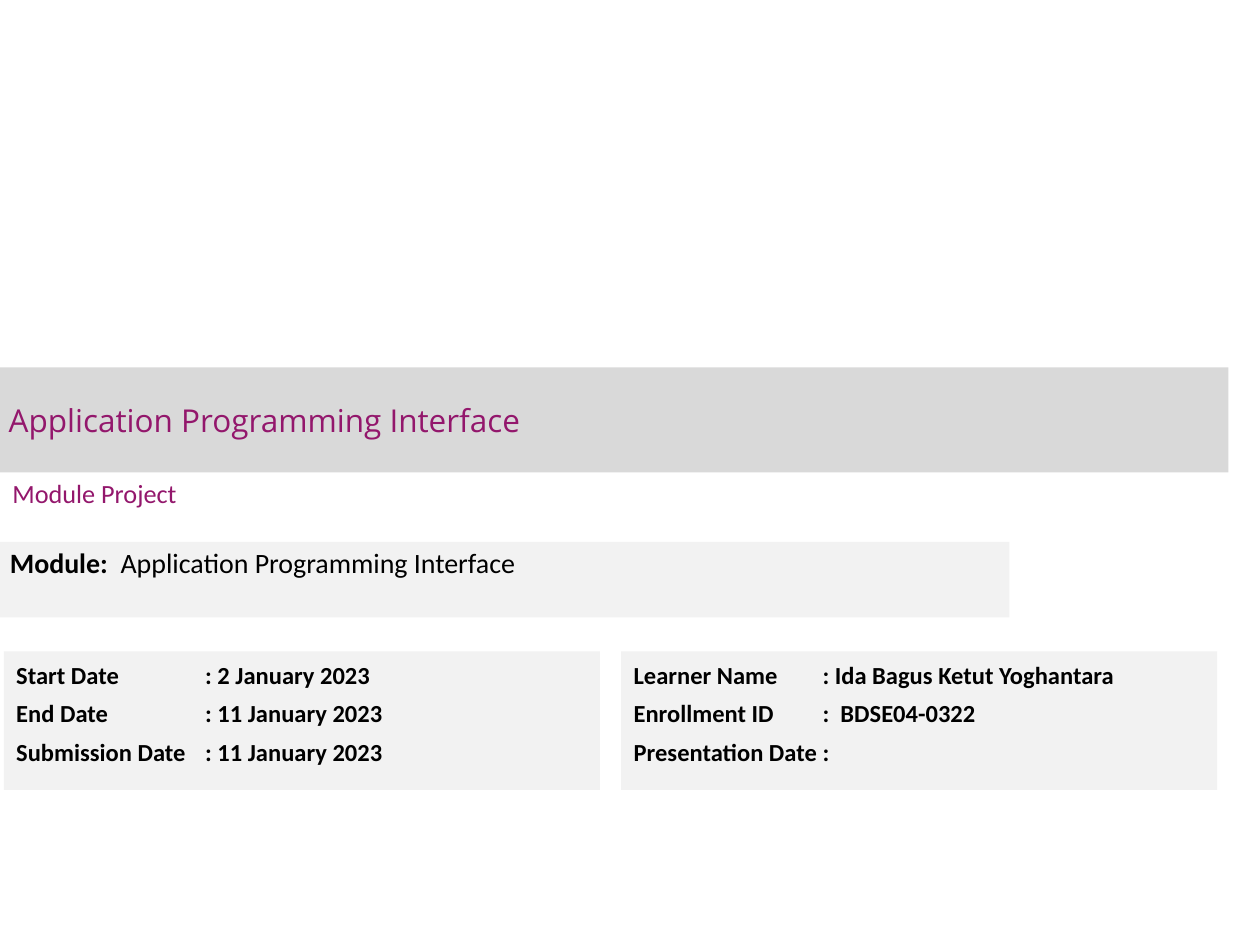
from lxml import etree
from pptx import Presentation
from pptx import util as u
from pptx.dml.color import RGBColor
from pptx.enum import shapes, text
from pptx.oxml import ns

PURPLE, BLACK, PALE, GREY = "93176C", "000000", "F2F2F2", "D9D9D9"
TOP, MIDDLE = text.MSO_ANCHOR.TOP, text.MSO_ANCHOR.MIDDLE

deck = Presentation()
deck.slide_width, deck.slide_height = u.Pt(720), u.Pt(540)
page = deck.slides.add_slide(deck.slide_layouts[6])


def color(value):
    return RGBColor.from_string(value)


def add_text(lines, left, top, width, height, size, fill=None, ink=BLACK, font="Calibri",
             anchor=TOP, inset=(7.2, 3.6), spaced=False, tab=None):
    place = [u.Pt(value) for value in (left, top, width, height)]
    if fill:
        box = page.shapes.add_shape(shapes.MSO_SHAPE.RECTANGLE, *place)
        box.shadow.inherit = False
        box.fill.solid()
        box.fill.fore_color.rgb = color(fill)
        box.line.fill.background()
    else:
        box = page.shapes.add_textbox(*place)
    frame = box.text_frame
    frame.word_wrap = True
    frame.vertical_anchor = anchor
    frame.margin_left = frame.margin_right = u.Pt(inset[0])
    frame.margin_top = frame.margin_bottom = u.Pt(inset[1])
    for index, line in enumerate(lines):
        para = frame.add_paragraph() if index else frame.paragraphs[0]
        para.alignment = text.PP_ALIGN.LEFT
        if spaced:
            para.line_spacing = u.Pt(18)
            para.space_before = para.space_after = u.Pt(2)
        if tab:
            stops = etree.SubElement(para._p.get_or_add_pPr(), ns.qn("a:tabLst"))
            etree.SubElement(stops, ns.qn("a:tab"), pos=str(u.Pt(tab)), algn="l")
        for words, bold in line:
            span = para.add_run()
            span.text = words
            span.font.name = font
            span.font.size = u.Pt(size)
            span.font.bold = bold
            span.font.color.rgb = color(ink)


add_text([[("Application Programming Interface", False)]], 0, 210, 702, 60, 18,
         fill=GREY, ink=PURPLE, font="Open Sans", anchor=MIDDLE, inset=(5, 2.9))
add_text([[("Module Project", False)]], 0, 259.2, 462.2, 44.6, 15, ink=PURPLE, anchor=MIDDLE)
add_text([[("Module:  ", True), ("Application Programming Interface", False)]],
         -1.4, 309.6, 578.2, 43.2, 16, fill=PALE, spaced=True)

details = [
    (2.2, ["Start Date\t: 2 January 2023", "End Date\t: 11 January 2023",
           "Submission Date\t: 11 January 2023"]),
    (355, ["Learner Name\t: Ida Bagus Ketut Yoghantara", "Enrollment ID\t:  BDSE04-0322",
           "Presentation Date\t:"]),
]
for left, rows in details:
    add_text([[(row, True)] for row in rows], left, 372.2, 340.6, 79.2, 14,
             fill=PALE, spaced=True, tab=108)

deck.save("out.pptx")
